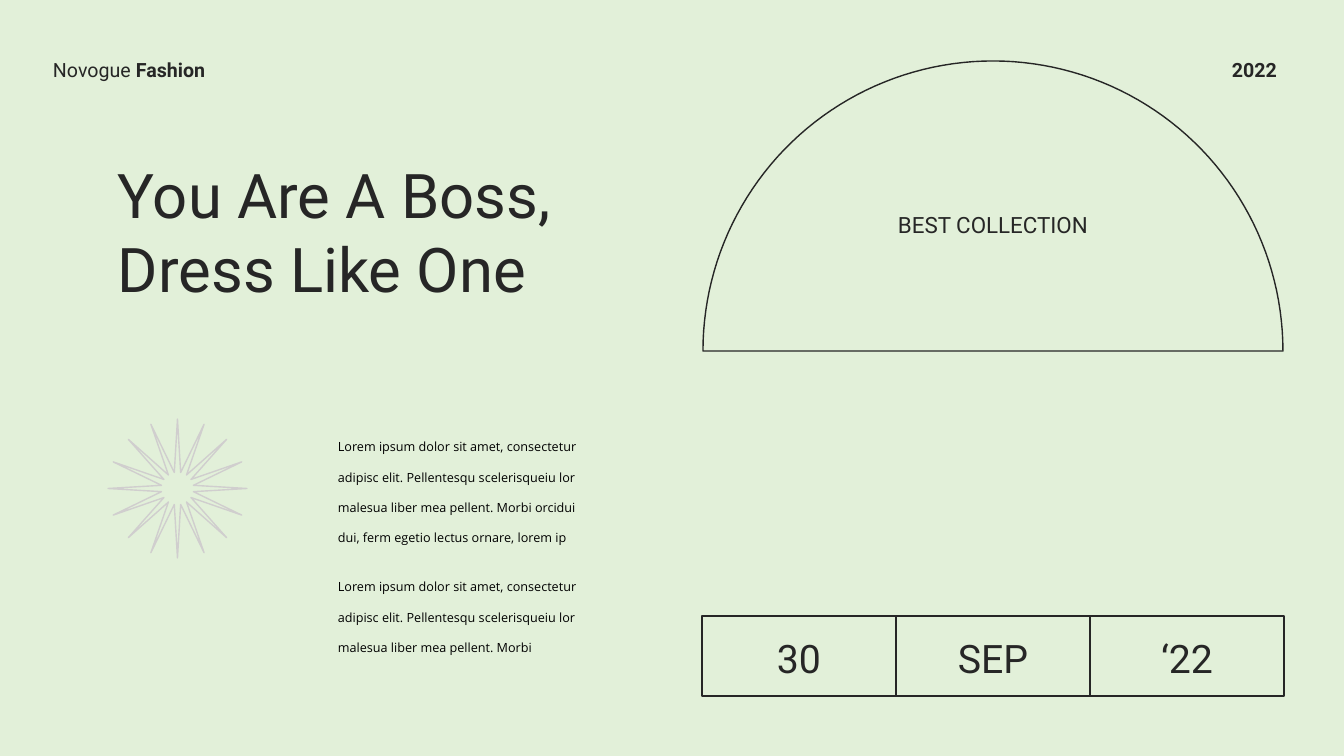
import math

from pptx import Presentation
from pptx import util as u
from pptx.dml.color import RGBColor
from pptx.enum import shapes, text

PX = 914400 / 100.8
MINT = RGBColor(0xE2, 0xF0, 0xD9)
INK = RGBColor(0x26, 0x26, 0x26)
BLACK = RGBColor(0, 0, 0)
SILVER = RGBColor(0xD0, 0xCE, 0xCE)

deck = Presentation()
deck.slide_width, deck.slide_height = round(1344 * PX), round(756 * PX)
page = deck.slides.add_slide(deck.slide_layouts[6])
page.background.fill.solid()
page.background.fill.fore_color.rgb = MINT


def outline(shape, color=INK):
    """Leave the shape hollow, with a thin line and no shadow."""
    shape.shadow.inherit = False
    shape.fill.background()
    shape.line.color.rgb = color
    shape.line.width = u.Pt(1)


def add_text(words, left, top, width, height, size, font="Roboto", color=INK,
             align=text.PP_ALIGN.LEFT, wrap=True, spacing=None):
    """Add a one-paragraph box; words is a list of (string, bold) pairs."""
    box = page.shapes.add_textbox(*(round(n * PX) for n in (left, top, width, height)))
    frame = box.text_frame
    frame.word_wrap = wrap
    frame.auto_size = text.MSO_AUTO_SIZE.SHAPE_TO_FIT_TEXT
    para = frame.paragraphs[0]
    para.alignment = align
    para.line_spacing = spacing
    for string, bold in words:
        span = para.add_run()
        span.text = string
        span.font.name = font
        span.font.size = u.Pt(size)
        span.font.bold = bold
        span.font.color.rgb = color


# Starburst
star = page.shapes.add_shape(shapes.MSO_SHAPE.STAR_16_POINT,
                             *(round(n * PX) for n in (108, 419, 139, 139)))
star.adjustments[0] = 0.117
outline(star, SILVER)

# Half-circle arch
center_x, base_y, radius = 993, 351, 290
arc = [(round((center_x - radius * math.cos(math.radians(angle))) * PX),
        round((base_y - radius * math.sin(math.radians(angle))) * PX))
       for angle in range(0, 181, 2)]
builder = page.shapes.build_freeform(*arc[0])
builder.add_line_segments(arc[1:], close=True)
outline(builder.convert_to_shape())

# Date strip
cell_width = 194
for column, (label, label_width) in enumerate([("30", 70), ("SEP", 91), ("‘22", 78)]):
    left = 702 + column * cell_width
    cell = page.shapes.add_shape(shapes.MSO_SHAPE.RECTANGLE,
                                 *(round(n * PX) for n in (left, 616, cell_width, 80)))
    outline(cell)
    add_text([(label, False)], left + (cell_width - label_width) / 2, 629, label_width, 57,
             28, align=text.PP_ALIGN.CENTER, wrap=False)

# Header
add_text([("Novogue ", False), ("Fashion", True)], 43, 53, 184, 34, 14, wrap=False)
add_text([("2022", True)], 1222, 53, 69, 34, 14, wrap=False)

# Body copy
opening = ("Lorem ipsum dolor sit amet, consectetur adipisc elit. "
           "Pellentesqu scelerisqueiu lor malesua liber mea pellent. Morbi")
for ending, top, height in [(" orcidui dui, ferm egetio lectus ornare, lorem ip", 419, 128),
                            ("", 559, 98)]:
    add_text([(opening + ending, False)], 328, top, 263, height, 9,
             font="Open Sans", color=BLACK, spacing=2.0)

# Titles
add_text([("You Are A Boss, Dress Like One", False)], 108, 152, 483, 159, 44)
add_text([("BEST COLLECTION", False)], 863, 206, 260, 37, 16, align=text.PP_ALIGN.CENTER)

deck.save("out.pptx")
